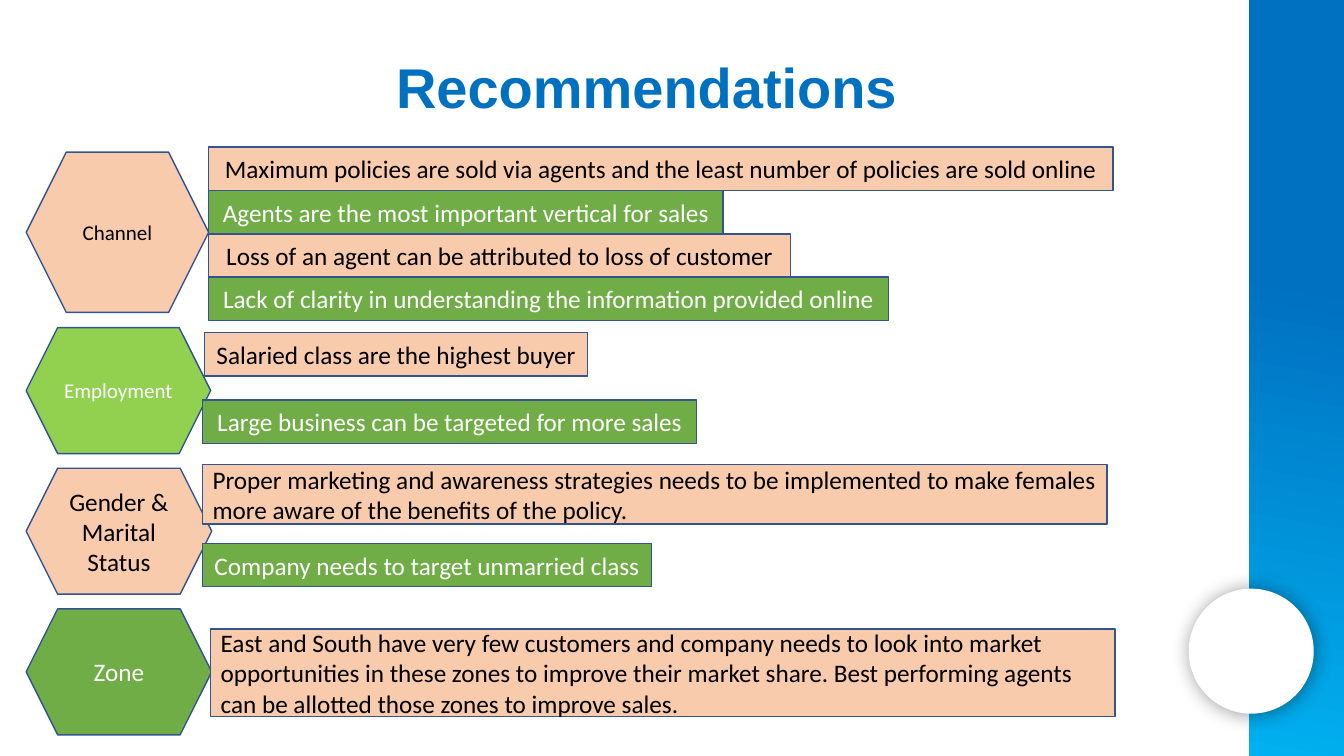
from lxml import etree
from pptx import Presentation
from pptx.dml.color import RGBColor
from pptx.enum.shapes import MSO_SHAPE
from pptx.enum.text import MSO_ANCHOR, PP_ALIGN
from pptx.oxml.ns import qn
from pptx.util import Inches, Pt

RECTANGLE, HEXAGON, OVAL = MSO_SHAPE.RECTANGLE, MSO_SHAPE.HEXAGON, MSO_SHAPE.OVAL
LEFT, CENTER, MIDDLE = PP_ALIGN.LEFT, PP_ALIGN.CENTER, MSO_ANCHOR.MIDDLE

PEACH, GREEN, LIME = "F8CBAD", "70AD47", "92D050"
BLUE, SKY, OUTLINE = "0070C0", "00B0F0", "325491"
BLACK, WHITE = "000000", "FFFFFF"

SLIDE_WIDTH, SLIDE_HEIGHT = 13.33, 7.5
BAND_WIDTH = 0.94
HEXAGON_LEFT = 0.26
HEXAGON_PITCH = 1.395
LOWER_HEXAGONS_TOP = 3.25
LINE_HEIGHT = 0.43
WIDE = 8.97

TITLE = "Recommendations"

# Bars are (text, left, width, height); they step down from bars_top by bar_pitch.
TOPICS = [
    {"name": "Channel", "fill": PEACH, "size": 15, "width": 1.81, "height": 1.59,
     "top": 1.51, "bars_top": 1.46, "bar_pitch": LINE_HEIGHT,
     "bars": [
         ("Maximum policies are sold via agents and the least number of policies "
          "are sold online", 2.07, WIDE, LINE_HEIGHT),
         ("Agents are the most important vertical for sales", 2.07, 5.1, LINE_HEIGHT),
         ("Loss of an agent can be attributed to loss of customer",
          2.07, 5.77, LINE_HEIGHT),
         ("Lack of clarity in understanding the information provided online",
          2.07, 6.74, LINE_HEIGHT)]},
    {"name": "Employment", "fill": LIME, "size": 15, "width": 1.83, "height": 1.25,
     "top": LOWER_HEXAGONS_TOP, "bars_top": 3.3, "bar_pitch": 0.67,
     "bars": [
         ("Salaried class are the highest buyer", 2.03, 3.8, LINE_HEIGHT),
         ("Large business can be targeted for more sales", 2.01, 4.9, LINE_HEIGHT)]},
    {"name": "Gender & Marital Status", "fill": PEACH, "size": 18, "width": 1.84,
     "height": 1.25, "top": LOWER_HEXAGONS_TOP + HEXAGON_PITCH,
     "bars_top": 4.61, "bar_pitch": 0.78,
     "bars": [
         ("Proper marketing and awareness strategies needs to be implemented to make "
          "females more aware of the benefits of the policy.", 2.01, WIDE, 0.59),
         ("Company needs to target unmarried class", 2.01, 4.45, LINE_HEIGHT)]},
    {"name": "Zone", "fill": GREEN, "size": 18, "width": 1.84, "height": 1.25,
     "top": LOWER_HEXAGONS_TOP + 2 * HEXAGON_PITCH, "bars_top": 6.24, "bar_pitch": 0,
     "bars": [
         ("East and South have very few customers and company needs to look into market "
          "opportunities in these zones to improve their market share. Best performing "
          "agents can be allotted those zones to improve sales.", 2.09, WIDE, 0.87)]},
]


def color(hex_value):
    return RGBColor.from_string(hex_value)


def add_plain_shape(slide, kind, left, top, width, height):
    """Add a preset shape without outline or shadow."""
    shape = slide.shapes.add_shape(
        kind, Inches(left), Inches(top), Inches(width), Inches(height))
    shape.shadow.inherit = False
    shape.line.fill.background()
    return shape


def write(shape, text, size, font_name, font_color, alignment, bold=False):
    text_frame = shape.text_frame
    text_frame.word_wrap = True
    text_frame.text = text
    paragraph = text_frame.paragraphs[0]
    paragraph.alignment = alignment
    font = paragraph.runs[0].font
    font.size, font.name, font.bold = Pt(size), font_name, bold
    font.color.rgb = color(font_color)


def add_label(slide, kind, box, fill, text, size, alignment=CENTER):
    """Add an outlined shape with dark text on peach and white text on green."""
    shape = add_plain_shape(slide, kind, *box)
    shape.fill.solid()
    shape.fill.fore_color.rgb = color(fill)
    shape.line.color.rgb = color(OUTLINE)
    shape.line.width = Pt(1)
    shape.text_frame.vertical_anchor = MIDDLE
    write(shape, text, size, "Calibri", BLACK if fill == PEACH else WHITE, alignment)


def add_soft_shadow(shape):
    effects = shape._element.spPr.find(qn("a:effectLst"))
    shadow = etree.SubElement(
        effects, qn("a:outerShdw"), blurRad=str(Pt(14)), dist=str(Pt(1)),
        dir=str(43 * 60000), algn="ctr", rotWithShape="0")
    shade = etree.SubElement(shadow, qn("a:srgbClr"), val=BLACK)
    etree.SubElement(shade, qn("a:alpha"), val="40000")


def add_side_band(slide):
    band = add_plain_shape(
        slide, RECTANGLE, SLIDE_WIDTH - BAND_WIDTH, 0, BAND_WIDTH, SLIDE_HEIGHT)
    band.fill.gradient()
    band.fill.gradient_angle = 260
    for stop, position, shade in zip(band.fill.gradient_stops, (0.37, 1), (BLUE, SKY)):
        stop.position = position
        stop.color.rgb = color(shade)
    disc = add_plain_shape(slide, OVAL, 11.79, 5.84, 1.24, 1.24)
    disc.fill.solid()
    disc.fill.fore_color.rgb = color(WHITE)
    add_soft_shadow(disc)


def add_topic(slide, topic):
    box = (HEXAGON_LEFT, topic["top"], topic["width"], topic["height"])
    add_label(slide, HEXAGON, box, topic["fill"], topic["name"], topic["size"])
    for index, (text, left, width, height) in enumerate(topic["bars"]):
        top = topic["bars_top"] + index * topic["bar_pitch"]
        alignment = LEFT if height > LINE_HEIGHT else CENTER
        add_label(slide, RECTANGLE, (left, top, width, height),
                  (PEACH, GREEN)[index % 2], text, 18, alignment)


def main():
    presentation = Presentation()
    presentation.slide_width = Inches(SLIDE_WIDTH)
    presentation.slide_height = Inches(SLIDE_HEIGHT)
    slide = presentation.slides.add_slide(presentation.slide_layouts[6])
    add_side_band(slide)
    title = slide.shapes.add_textbox(
        Inches(3.83), Inches(0.47), Inches(5.88), Inches(0.77))
    write(title, TITLE, 40, "Arial", BLUE, LEFT, bold=True)
    for topic in TOPICS:
        add_topic(slide, topic)
    presentation.save("out.pptx")


if __name__ == "__main__":
    main()
